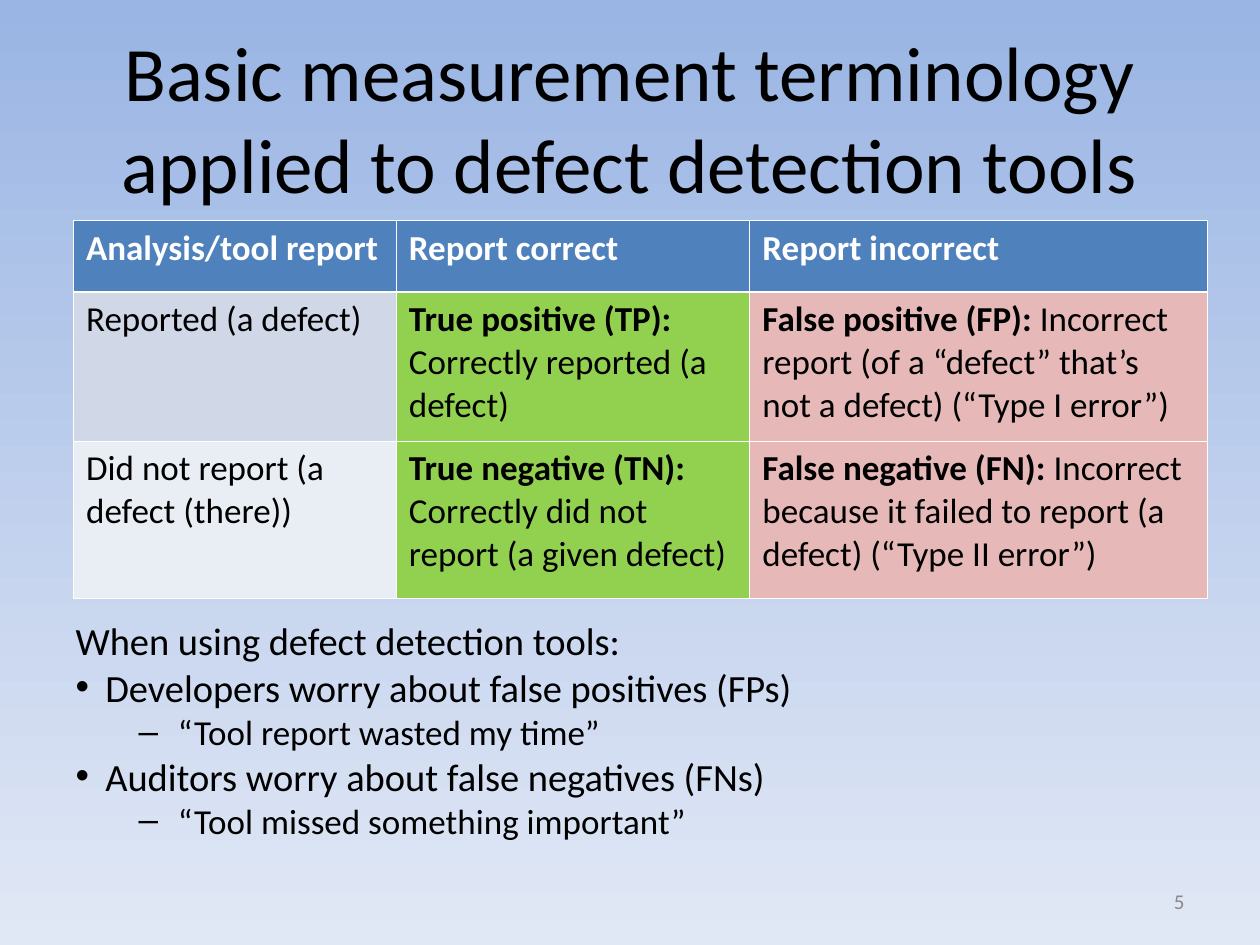
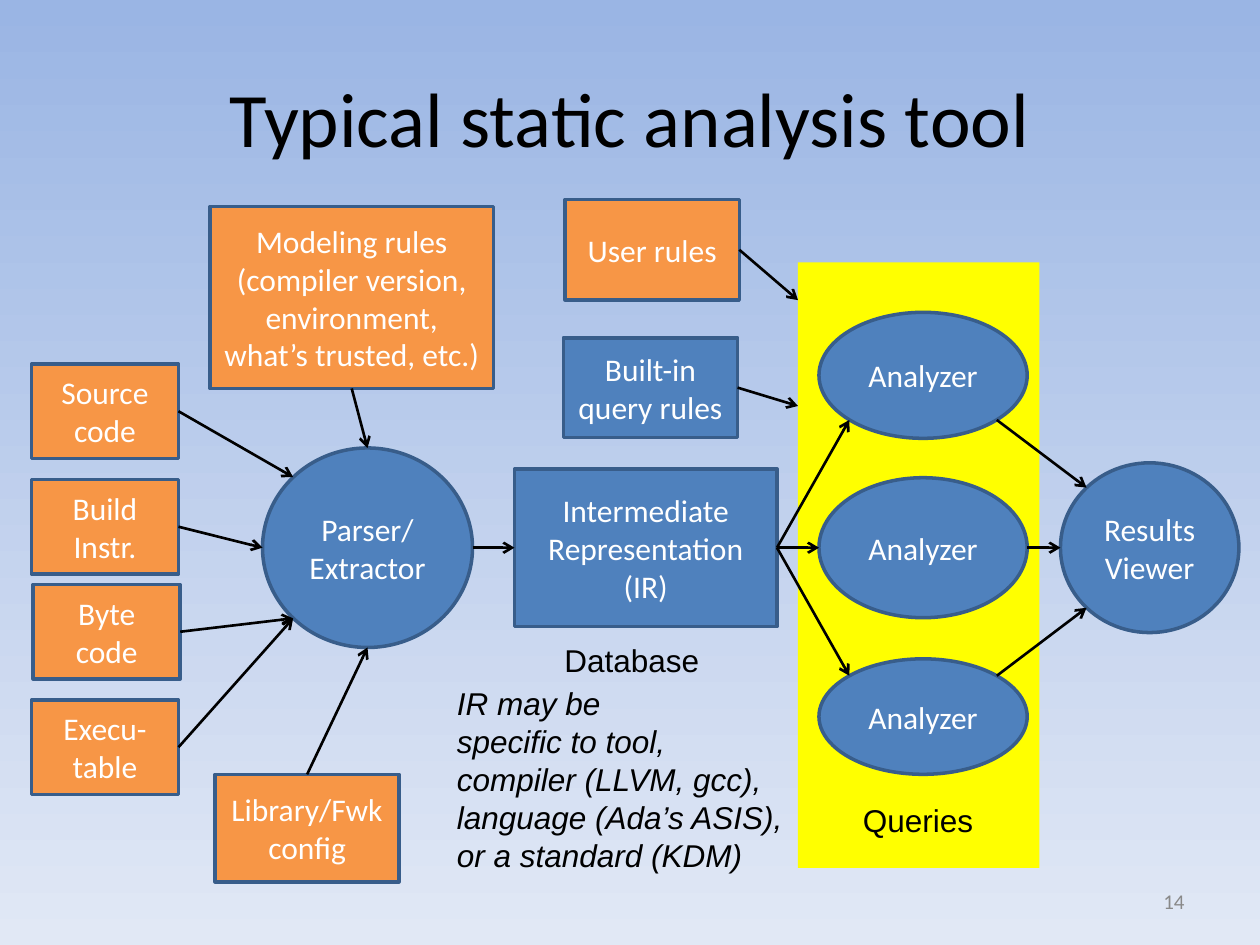
"""Build two slides on defect detection and static analysis tools."""
from dataclasses import dataclass

from lxml import etree
from pptx import Presentation
from pptx.dml.color import RGBColor
from pptx.enum.shapes import MSO_CONNECTOR, MSO_SHAPE
from pptx.enum.text import MSO_ANCHOR, MSO_AUTO_SIZE, PP_ALIGN
from pptx.oxml.ns import qn
from pptx.util import Pt

RECT, OVAL = MSO_SHAPE.RECTANGLE, MSO_SHAPE.OVAL
STRAIGHT = MSO_CONNECTOR.STRAIGHT
LEFT, CENTER, RIGHT = PP_ALIGN.LEFT, PP_ALIGN.CENTER, PP_ALIGN.RIGHT
TOP, MIDDLE = MSO_ANCHOR.TOP, MSO_ANCHOR.MIDDLE
NO_FIT = MSO_AUTO_SIZE.NONE
TITLE_AND_CONTENT, TITLE_ONLY = 1, 5

COLORS = {
    "sky": "9AB5E4", "haze": "E1E8F5", "ink": "000000", "white": "FFFFFF",
    "number": "898989", "blue": "4F81BD", "outline": "385D8A",
    "orange": "F79646", "yellow": "FFFF00", "correct": "92D050",
    "incorrect": "E6B9B8", "band_dark": "D0D8E8", "band_light": "E9EDF4",
}
SIDES = {"top": 0, "left": 1, "bottom": 2, "right": 3}
NEAR, FAR = 0.146, 0.854
SITES = {
    "top": (0.5, 0), "left": (0, 0.5), "bottom": (0.5, 1), "right": (1, 0.5),
    "top left": (NEAR, NEAR), "bottom left": (NEAR, FAR),
    "top right": (FAR, NEAR), "bottom right": (FAR, FAR),
}


@dataclass(frozen=True)
class Node:
    """A labelled step of the tool, with its place in points."""
    text: str
    left: float
    top: float
    width: float
    height: float
    fill: str = "blue"
    outline: int = RECT

    def site(self, side: str) -> tuple[float, float]:
        """Return the point where an arrow meets this node."""
        across, down = SITES[side]
        return self.left + across * self.width, self.top + down * self.height


@dataclass(frozen=True)
class Flow:
    """An arrow between named sites of two nodes."""
    source: str
    exit: str
    target: str
    entry: str


@dataclass(frozen=True)
class Entry:
    """A table cell with an optional bold lead."""
    text: str
    fill: str
    lead: str = ""


@dataclass(frozen=True)
class Point:
    """A list line; a line without a bullet is plain."""
    text: str
    bullet: str = ""
    level: int = 0
    size: float = 22
    before: float = 5.5
    margin: float = 0
    hang: float = 0


def rgb(name: str) -> RGBColor:
    """Look up a named colour."""
    return RGBColor.from_string(COLORS[name])


def write(frame, text, *, lead="", size=18, color="ink", font="Calibri",
          bold=False, italic=False, align=LEFT, anchor=TOP) -> None:
    """Fill a text frame, one paragraph a line, after an optional bold lead."""
    frame.word_wrap = True
    frame.vertical_anchor = anchor
    for index, line in enumerate(text.split("\n")):
        paragraph = frame.paragraphs[0] if index == 0 else frame.add_paragraph()
        paragraph.alignment = align
        runs = [(line, bold)]
        if lead and index == 0:
            runs.insert(0, (lead, True))
        for words, heavy in runs:
            run = paragraph.add_run()
            run.text = words
            run.font.name, run.font.size = font, Pt(size)
            run.font.bold, run.font.italic = heavy, italic
            run.font.color.rgb = rgb(color)


def place(shape, left: float, top: float, width: float, height: float) -> None:
    """Move and size a shape in points."""
    shape.left, shape.top = Pt(left), Pt(top)
    shape.width, shape.height = Pt(width), Pt(height)


def add_label(slide, text: str, left: float, top: float, width: float,
              height: float, **style) -> None:
    """Add a text box."""
    box = slide.shapes.add_textbox(Pt(left), Pt(top), Pt(width), Pt(height))
    write(box.text_frame, text, **style)


def add_titled_slide(prs, layout: int, title: str, number: str):
    """Add a slide with its title and page number."""
    slide = prs.slides.add_slide(prs.slide_layouts[layout])
    heading = slide.shapes.title
    place(heading, 36, 21.6, 648, 90)
    heading.text_frame.auto_size = NO_FIT
    write(heading.text_frame, title, size=44, align=CENTER, anchor=MIDDLE)
    add_label(slide, number, 516, 500.4, 168, 28.8, size=12, color="number",
              align=RIGHT, anchor=MIDDLE)
    return slide


def set_borders(cell, header_edges: tuple[str, ...]) -> None:
    """Draw white cell borders, heavier beside the header."""
    properties = cell._tc.get_or_add_tcPr()
    for edge in ("lnL", "lnR", "lnT", "lnB"):
        width = Pt(1.47 if edge in header_edges else 0.45)
        line = etree.SubElement(properties, qn(f"a:{edge}"), w=str(width))
        paint = etree.SubElement(line, qn("a:solidFill"))
        etree.SubElement(paint, qn("a:srgbClr"), val=COLORS["white"])


def add_terms(slide, rows: list[list[Entry]]) -> None:
    """Add the table of report outcomes."""
    widths, heights = (184.5, 202, 261.5), (41, 85, 90)
    table = slide.shapes.add_table(len(rows), len(widths), Pt(42), Pt(126),
                                   Pt(sum(widths)), Pt(sum(heights))).table
    for column, width in zip(table.columns, widths):
        column.width = Pt(width)
    for index, (row, height) in enumerate(zip(rows, heights)):
        table.rows[index].height = Pt(height)
        header = index == 0
        for cell, entry in zip(table.rows[index].cells, row):
            set_borders(cell, (("lnB",), ("lnT",), ())[index])
            cell.fill.solid()
            cell.fill.fore_color.rgb = rgb(entry.fill)
            write(cell.text_frame, entry.text, lead=entry.lead, size=20,
                  bold=header, color="white" if header else "ink")


def add_points(slide, points: list[Point]) -> None:
    """Fill the body placeholder with a two-level list."""
    body = slide.placeholders[1]
    place(body, 36, 354.2, 648, 144)
    frame = body.text_frame
    frame.auto_size = NO_FIT
    write(frame, "\n".join(point.text for point in points))
    for index, (paragraph, point) in enumerate(zip(frame.paragraphs, points)):
        paragraph.level = point.level
        properties = paragraph._p.get_or_add_pPr()
        properties.set("marL", str(Pt(point.margin)))
        properties.set("indent", str(Pt(-point.hang)))
        if point.bullet:
            etree.SubElement(properties, qn("a:buFont"), typeface="Arial")
            etree.SubElement(properties, qn("a:buChar"), char=point.bullet)
        else:
            etree.SubElement(properties, qn("a:buNone"))
        paragraph.line_spacing = 0.8
        paragraph.space_before = Pt(point.before if index else 0)
        paragraph.runs[0].font.size = Pt(point.size)


def add_node(slide, node: Node):
    """Draw one node; only a labelled node has an outline."""
    shape = slide.shapes.add_shape(node.outline, Pt(node.left), Pt(node.top),
                                   Pt(node.width), Pt(node.height))
    shape.shadow.inherit = False
    shape.fill.solid()
    shape.fill.fore_color.rgb = rgb(node.fill)
    if node.text:
        shape.line.color.rgb = rgb("outline")
        shape.line.width = Pt(2)
        write(shape.text_frame, node.text, color="white", align=CENTER,
              anchor=MIDDLE)
    else:
        shape.line.fill.background()
    return shape


def add_arrow(slide, start: tuple[float, float], end: tuple[float, float]):
    """Draw a black arrow between two points."""
    arrow = slide.shapes.add_connector(STRAIGHT, *(Pt(v) for v in start + end))
    arrow.line.color.rgb = rgb("ink")
    arrow.line.width = Pt(1.5)
    etree.SubElement(arrow.line._get_or_add_ln(), qn("a:tailEnd"), type="arrow")
    etree.SubElement(arrow._element.spPr, qn("a:effectLst"))
    return arrow


def build_terms_slide(prs) -> None:
    """Build the slide on measurement terms."""
    slide = add_titled_slide(
        prs, TITLE_AND_CONTENT,
        "Basic measurement terminology applied to defect detection tools", "5")
    add_terms(slide, [
        [Entry(text, "blue") for text in
         ("Analysis/tool report", "Report correct", "Report incorrect")],
        [Entry("Reported (a defect)", "band_dark"),
         Entry("Correctly reported (a defect)", "correct",
               "True positive (TP): "),
         Entry("Incorrect report (of a “defect” that’s not a defect) "
               "(“Type I error”)", "incorrect", "False positive (FP): ")],
        [Entry("Did not report (a defect (there))", "band_light"),
         Entry("Correctly did not report (a given defect)", "correct",
               "True negative (TN): "),
         Entry("Incorrect because it failed to report (a defect) "
               "(“Type II error”)", "incorrect", "False negative (FN): ")],
    ])
    worry = {"bullet": "•", "margin": 17, "hang": 17}
    quote = {"bullet": "–", "level": 1, "size": 20, "before": 5,
             "margin": 58.5, "hang": 22.5}
    add_points(slide, [
        Point("When using defect detection tools:"),
        Point("Developers worry about false positives (FPs)", **worry),
        Point("“Tool report wasted my time”", **quote),
        Point("Auditors worry about false negatives (FNs)", **worry),
        Point("“Tool missed something important”", **quote),
    ])


def build_tool_slide(prs) -> None:
    """Build the diagram of a static analysis tool."""
    slide = add_titled_slide(prs, TITLE_ONLY, "Typical static analysis tool", "14")
    queries = Node("", 456, 150, 138, 346, "yellow")
    add_node(slide, queries)
    nodes = {
        "source": Node("Source\ncode", 18, 208, 84, 54, "orange"),
        "build": Node("Build\nInstr.", 18, 274, 84, 54, "orange"),
        "byte": Node("Byte\ncode", 19, 334, 84, 54, "orange"),
        "executable": Node("Execu-table", 18, 400, 84, 54, "orange"),
        "modeling": Node("Modeling rules\n(compiler version, environment, "
                         "what’s trusted, etc.)", 120, 118, 162, 104, "orange"),
        "library": Node("Library/Fwk config", 123, 442.5, 105, 61.5, "orange"),
        "parser": Node("Parser/\nExtractor", 150, 256, 120, 114, outline=OVAL),
        "ir": Node("Intermediate\nRepresentation\n(IR)", 294, 268, 150, 90),
        "user rules": Node("User rules", 323, 114, 99.5, 57.5, "orange"),
        "built-in": Node("Built-in\nquery rules", 322, 193, 99.5, 57),
        "high": Node("Analyzer", 468, 178.5, 119, 72, outline=OVAL),
        "middle": Node("Analyzer", 468, 273, 119, 80, outline=OVAL),
        "low": Node("Analyzer", 468, 376.5, 119, 66, outline=OVAL),
        "viewer": Node("Results Viewer", 606, 264.5, 102, 97, outline=OVAL),
    }
    shapes = {name: add_node(slide, node) for name, node in nodes.items()}
    flows = [
        Flow("source", "right", "parser", "top left"),
        Flow("build", "right", "parser", "left"),
        Flow("byte", "right", "parser", "bottom left"),
        Flow("executable", "right", "parser", "bottom left"),
        Flow("modeling", "bottom", "parser", "top"),
        Flow("library", "top", "parser", "bottom"),
        Flow("parser", "right", "ir", "left"),
        Flow("ir", "right", "high", "bottom left"),
        Flow("ir", "right", "middle", "left"),
        Flow("ir", "right", "low", "top left"),
        Flow("high", "bottom right", "viewer", "top left"),
        Flow("middle", "right", "viewer", "left"),
        Flow("low", "top right", "viewer", "bottom left"),
    ]
    for flow in flows:
        source, target = nodes[flow.source], nodes[flow.target]
        arrow = add_arrow(slide, source.site(flow.exit), target.site(flow.entry))
        if source.outline == RECT:
            arrow.begin_connect(shapes[flow.source], SIDES[flow.exit])
        if target.outline == RECT:
            arrow.end_connect(shapes[flow.target], SIDES[flow.entry])
    for rules, height in (("user rules", 171.5), ("built-in", 232)):
        arrow = add_arrow(slide, nodes[rules].site("right"), (queries.left, height))
        arrow.begin_connect(shapes[rules], SIDES["right"])
    add_label(slide, "Database", 315.5, 363, 97, 29, font="Arial")
    add_label(slide, "Queries", 486, 454, 84, 29, font="Arial")
    add_label(slide, "IR may be\nspecific to tool,\ncompiler (LLVM, gcc),\n"
              "language (Ada’s ASIS),\nor a standard (KDM)",
              254, 387.5, 208, 115, font="Arial", italic=True)


def main() -> None:
    """Build and save the presentation."""
    prs = Presentation()
    prs.slide_width, prs.slide_height = Pt(720), Pt(540)
    backdrop = prs.slide_master.background.fill
    backdrop.gradient()
    backdrop.gradient_angle = 270
    for stop, color in zip(backdrop.gradient_stops, ("sky", "haze")):
        stop.color.rgb = rgb(color)
    build_terms_slide(prs)
    build_tool_slide(prs)
    prs.save("out.pptx")


if __name__ == "__main__":
    main()
